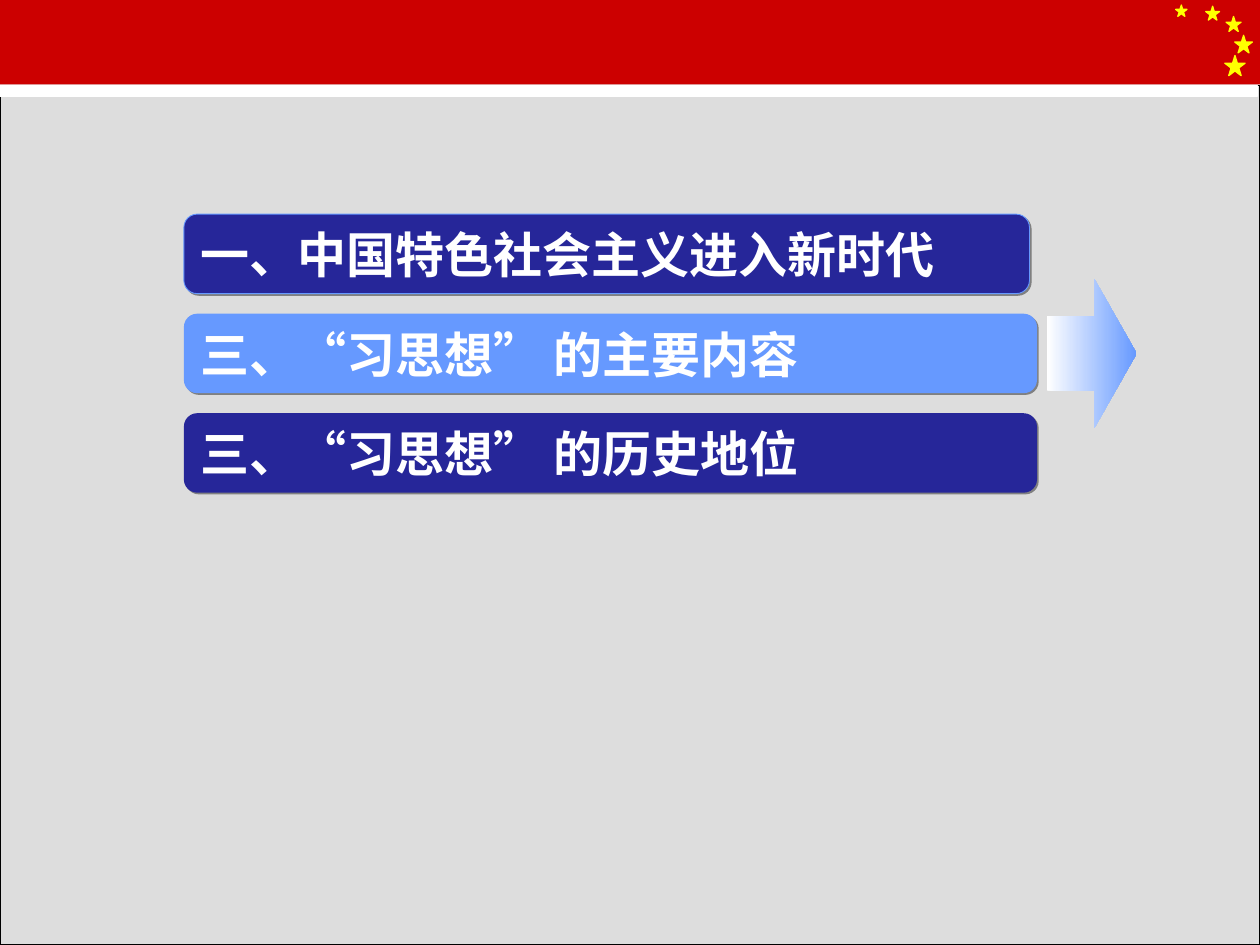
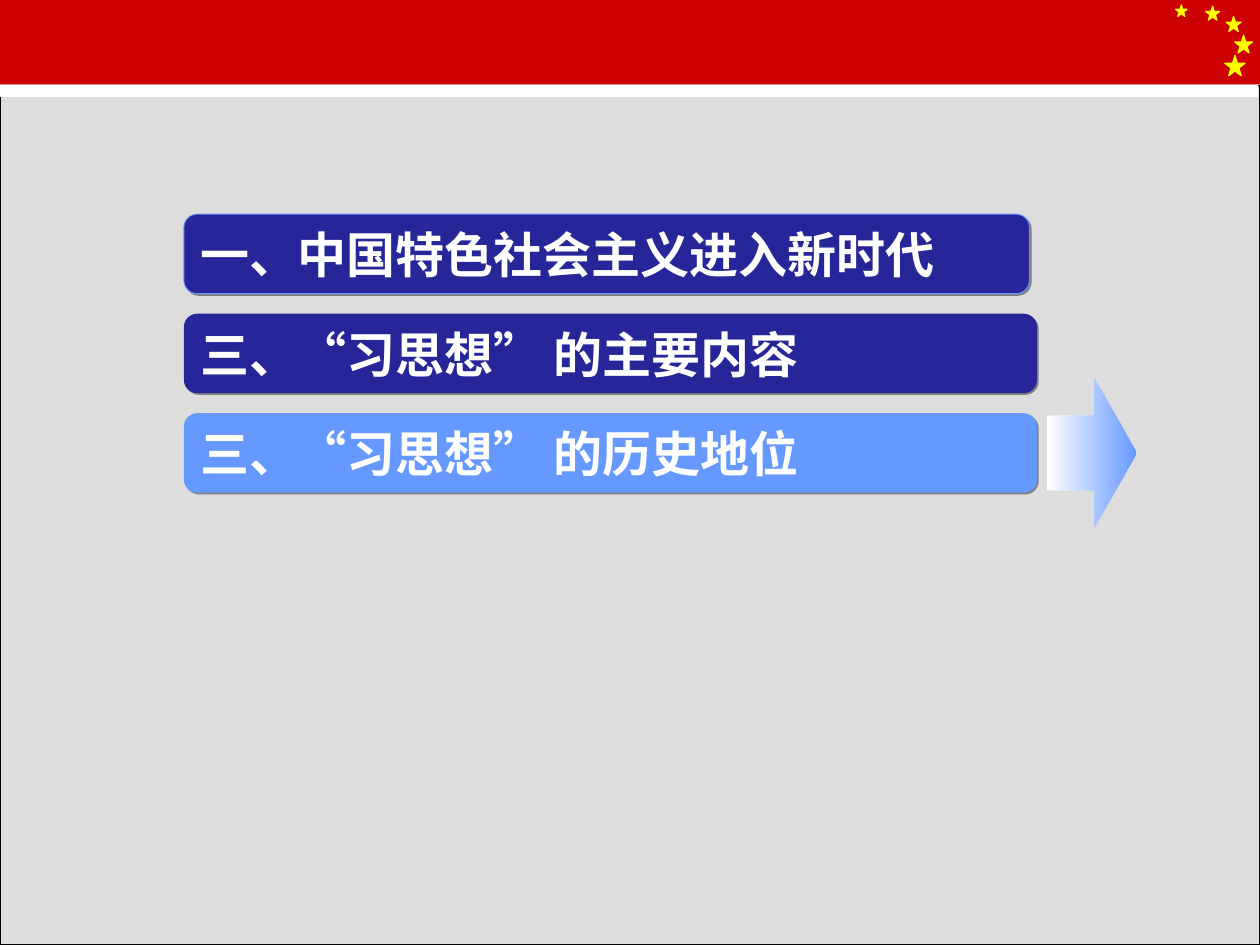
from dataclasses import dataclass

import pptx
import pptx.dml.color
import pptx.enum.lang
import pptx.enum.shapes
import pptx.enum.text
import pptx.oxml
import pptx.util
from pptx.oxml import ns

Pt = pptx.util.Pt
SHAPE = pptx.enum.shapes.MSO_SHAPE


@dataclass(frozen=True)
class Theme:
    background: str = "EAEAEA"
    banner: str = "CC0000"
    star: str = "FFFF00"
    panel: str = "DDDDDD"
    white: str = "FFFFFF"
    black: str = "000000"
    bar: str = "262699"
    active: str = "6699FF"
    shadow: str = "808080"
    font: str = "Times New Roman"
    size: float = 28
    thin: float = 0.5
    line: float = 0.75


THEME = Theme()
WIDTH, HEIGHT = 720, 540
BANNER_BOX = (0, 0, WIDTH, 48.25)
PANEL_BOX = (0, 49, WIDTH, HEIGHT - 49)
AGENDA_BOX = (105.1, 122.4, 487.5, 45.4)
BAR_PITCH = 56.88
FIRST_BAR_INSET = 4.3
STARS = [
    (699.9, 31.7, 11.6),
    (689, 3.6, 7.9),
    (671.8, 2.9, 6.5),
    (700.6, 9.4, 8.6),
    (705.6, 20.2, 10.1),
]
TOPICS = [
    "一、中国特色社会主义进入新时代",
    "三、“习思想” 的主要内容",
    "三、“习思想” 的历史地位",
]


def rgb(value):
    return pptx.dml.color.RGBColor.from_string(value)


def add_shape(s, kind, box, fill=None, line=None, weight=THEME.line):
    sp = s.shapes.add_shape(kind, *map(Pt, box))
    sp.shadow.inherit = False
    if fill:
        sp.fill.solid()
        sp.fill.fore_color.rgb = rgb(fill)
    if line:
        sp.line.color.rgb = rgb(line)
        sp.line.width = Pt(weight)
    else:
        sp.line.fill.background()
    return sp


def add_shadow(sp):
    effects = sp._element.spPr.find(ns.qn("a:effectLst"))
    effects.append(pptx.oxml.parse_xml(
        f'<a:outerShdw {ns.nsdecls("a")} dist="{Pt(1.4)}" dir="2700000" algn="ctr" rotWithShape="0">'
        f'<a:srgbClr val="{THEME.shadow}"/></a:outerShdw>'
    ))


def draw_banner(s, box):
    left, top = box[:2]
    add_shape(s, SHAPE.RECTANGLE, box, THEME.banner)
    for x, y, size in STARS:
        add_shape(s, SHAPE.STAR_5_POINT, (left + x, top + y, size, size), THEME.star, THEME.star)


def draw_panel(s, box):
    left, top, width, _ = box
    add_shape(s, SHAPE.RECTANGLE, box, THEME.panel, THEME.black)
    add_shape(s, SHAPE.RECTANGLE, (left, top, width - 1.4, 5.8), THEME.white, THEME.white)


def draw_bar(s, box, text, fill, line=None):
    sp = add_shape(s, SHAPE.ROUNDED_RECTANGLE, box, fill, line, THEME.thin)
    sp.adjustments[0] = 0.167
    add_shadow(sp)
    tf = sp.text_frame
    tf.word_wrap = True
    tf.vertical_anchor = pptx.enum.text.MSO_ANCHOR.MIDDLE
    p = tf.paragraphs[0]
    p.alignment = pptx.enum.text.PP_ALIGN.LEFT
    r = p.add_run()
    r.text = text
    r.font.name = THEME.font
    r.font.size = Pt(THEME.size)
    r.font.bold = True
    r.font.color.rgb = rgb(THEME.white)
    r.font.language_id = pptx.enum.lang.MSO_LANGUAGE_ID.SIMPLIFIED_CHINESE


def draw_arrow(s, bar):
    left, top, width, height = bar
    arrow_height = 85
    y = top + (height - arrow_height) / 2
    sp = add_shape(s, SHAPE.RIGHT_ARROW, (left + width + 5.8, y, 51.1, arrow_height))
    sp.adjustments[1] = 0.471
    sp.fill.gradient()
    sp.fill.gradient_angle = 0
    for stop, color, position in zip(sp.fill.gradient_stops, (THEME.white, THEME.active), (0, 1)):
        stop.color.rgb = rgb(color)
        stop.position = position


def draw_agenda(s, box, active):
    left, top, width, height = box
    for i, topic in enumerate(TOPICS):
        first = i == 0
        bar = (left, top + i * BAR_PITCH, width - FIRST_BAR_INSET * first, height)
        fill = THEME.active if i == active else THEME.bar
        draw_bar(s, bar, topic, fill, THEME.active if first else None)
        if i == active:
            draw_arrow(s, bar)


def add_agenda_slide(prs, active):
    s = prs.slides.add_slide(prs.slide_layouts[6])
    s.background.fill.solid()
    s.background.fill.fore_color.rgb = rgb(THEME.background)
    draw_banner(s, BANNER_BOX)
    draw_panel(s, PANEL_BOX)
    draw_agenda(s, AGENDA_BOX, active)


def main():
    prs = pptx.Presentation()
    prs.slide_width, prs.slide_height = Pt(WIDTH), Pt(HEIGHT)
    for active in (1, 2):
        add_agenda_slide(prs, active)
    prs.save("out.pptx")


if __name__ == "__main__":
    main()
